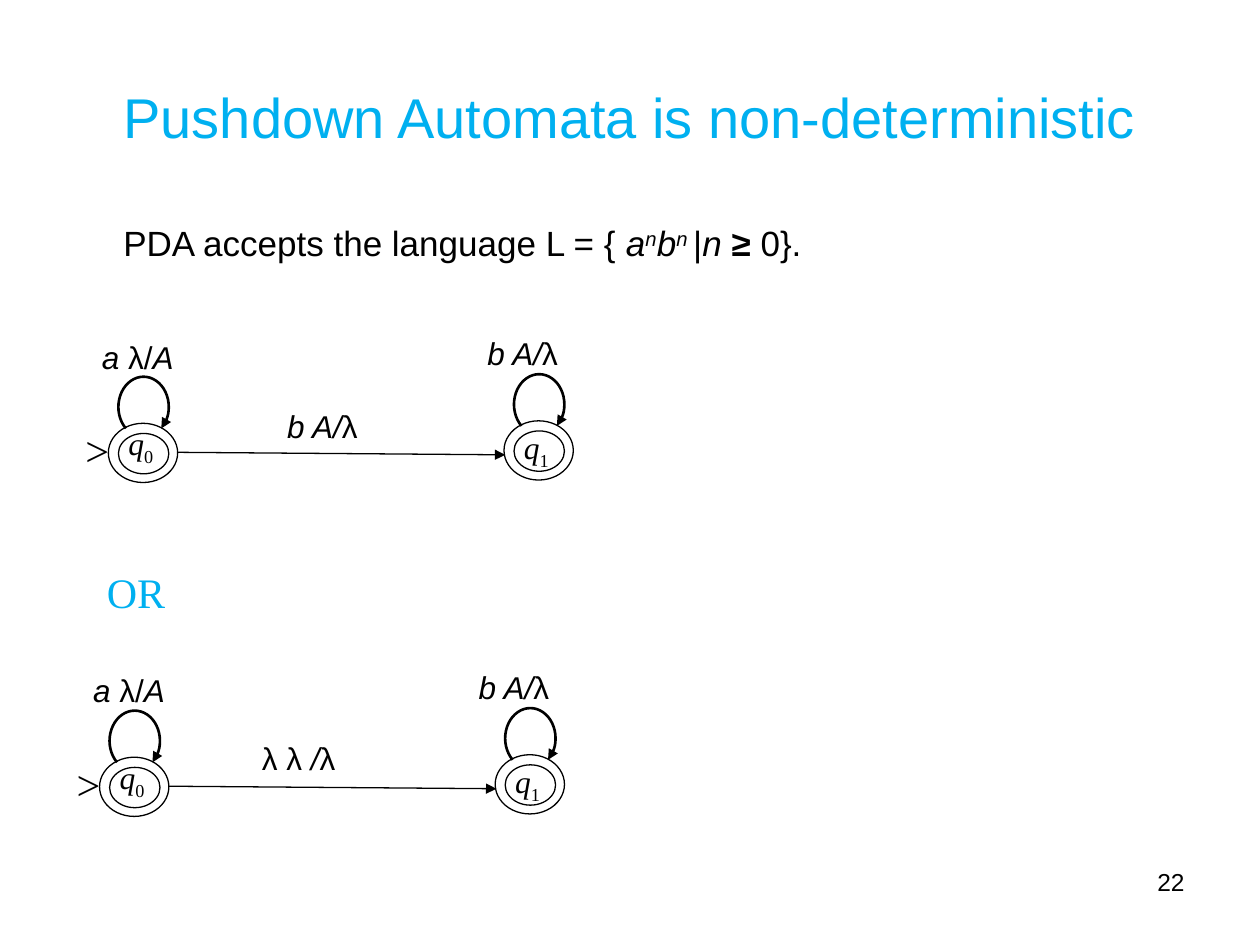
from lxml.etree import SubElement
from pptx import Presentation
from pptx.dml.color import RGBColor
from pptx.enum.shapes import MSO_CONNECTOR, MSO_SHAPE
from pptx.enum.text import MSO_ANCHOR, PP_ALIGN
from pptx.oxml.ns import qn
from pptx.util import Inches, Pt

THEME = {
    "black": RGBColor(0, 0, 0), "accent": RGBColor(0x00, 0xB0, 0xF0),
    "sans": "Arial", "serif": "Times New Roman",
    "title": 32, "body": 20, "label": 18, "symbol": 24, "number": 14,
    "thin": 0.75, "thick": 1.5,
}

# Content: each run is (text, style); i italic, b bold, ^ superscript, _ subscript
TITLE = [("Pushdown Automata is non-deterministic", "")]
LANGUAGE = [("PDA accepts the language L = { ", ""), ("a", "i"), ("n", "i^"), ("b", "i"),
            ("n ", "i^"), ("|", ""), ("n ", "i"), ("≥ ", "b"), ("0}.", "")]
ALTERNATIVE = [("OR", "")]
PAGE_NUMBER = [("22", "")]
START = [(">", "")]
PUSH = [("a ", "i"), ("λ/", ""), ("A", "i")]
POP = [("b A/", "i"), ("λ", "")]
SILENT = [("λ λ ", ""), ("/", "i"), ("λ", "")]

# States relative to a machine's origin: index, position, name and loop label offsets
STATES = [
    {"index": "0", "at": (0, 0), "name": (0.06, -0.04), "loop": PUSH, "label": (-0.15, -0.73)},
    {"index": "1", "at": (3.14, -0.02), "name": (0.06, 0.01), "loop": POP, "label": (-0.23, -0.74)},
]
# Machines: origin, label of the step between the states, offset of that label
MACHINES = [
    {"at": (0.86, 3.36), "step": POP, "label": (1.32, -0.18)},
    {"at": (0.79, 6.01), "step": SILENT, "label": (1.19, -0.19)},
]
STATE_SIZE = (0.55, 0.47)
INNER_SIZE = (0.4, 0.32)
LOOP_SIZE = (0.4, 0.48)
LOOP_ANGLES = (129.5, 50.5)
LABEL_SIZE = (1.4, 0.4)


def shifted(origin, offset):
    return origin[0] + offset[0], origin[1] + offset[1]


def add_text(shapes, at, size, runs, points, font="sans", color="black",
             align=PP_ALIGN.LEFT, anchor=MSO_ANCHOR.TOP, wrap=True):
    box = shapes.add_textbox(*map(Inches, at + size))
    frame = box.text_frame
    frame.word_wrap = wrap
    frame.vertical_anchor = anchor
    paragraph = frame.paragraphs[0]
    paragraph.alignment = align
    for text, style in runs:
        run = paragraph.add_run()
        run.text = text
        run.font.name = THEME[font]
        run.font.size = Pt(THEME[points])
        run.font.color.rgb = THEME[color]
        run.font.italic = "i" in style
        run.font.bold = "b" in style
        for mark, baseline in (("^", "30000"), ("_", "-25000")):
            if mark in style:
                run._r.get_or_add_rPr().set("baseline", baseline)


def set_line(shape, weight, arrow=False):
    shape.line.color.rgb = THEME["black"]
    shape.line.width = Pt(THEME[weight])
    if arrow:
        SubElement(shape.line._get_or_add_ln(), qn("a:tailEnd"), type="triangle")


def add_outline(shapes, kind, at, size, weight="thin", arrow=False):
    outline = shapes.add_shape(kind, *map(Inches, at + size))
    outline.shadow.inherit = False
    outline.fill.background()
    set_line(outline, weight, arrow)
    return outline


def add_state(shapes, at, state):
    # Accepting state: two rings around the name
    add_outline(shapes, MSO_SHAPE.OVAL, at, STATE_SIZE)
    add_outline(shapes, MSO_SHAPE.OVAL, shifted(at, (0.08, 0.08)), INNER_SIZE)
    add_text(shapes, shifted(at, state["name"]), (0.52, 0.44),
             [("q", "i"), (state["index"], "_")], "label", "serif")
    # Loop back to the same state
    loop = add_outline(shapes, MSO_SHAPE.ARC, shifted(at, (0.08, -0.37)), LOOP_SIZE, "thick", True)
    for place, degrees in enumerate(LOOP_ANGLES):
        loop.adjustments[place] = degrees * 0.6  # 60000ths of a degree over 100000
    add_text(shapes, shifted(at, state["label"]), LABEL_SIZE, state["loop"], "label")


def add_machine(slide, machine):
    shapes = slide.shapes.add_group_shape().shapes
    origin = machine["at"]
    for state in STATES:
        add_state(shapes, shifted(origin, state["at"]), state)
    add_text(shapes, shifted(origin, (-0.28, -0.04)), (0.39, 0.5), START, "symbol", "serif",
             wrap=False)
    # Step from the first state to the second
    ends = shifted(origin, (0.55, 0.23)) + shifted(origin, (3.15, 0.25))
    step = shapes.add_connector(MSO_CONNECTOR.STRAIGHT, *map(Inches, ends))
    set_line(step, "thin", True)
    SubElement(step._element.spPr, qn("a:effectLst"))
    add_text(shapes, shifted(origin, machine["label"]), LABEL_SIZE, machine["step"], "label")


def main():
    deck = Presentation()
    deck.slide_width, deck.slide_height = Inches(10), Inches(7.5)
    slide = deck.slides.add_slide(deck.slide_layouts[6])

    # Heading and language
    add_text(slide.shapes, (0.5, 0.3), (9, 1.25), TITLE, "title", color="accent",
             align=PP_ALIGN.CENTER, anchor=MSO_ANCHOR.MIDDLE)
    add_text(slide.shapes, (0.88, 1.71), (5.75, 0.44), LANGUAGE, "body", wrap=False)

    # The two alternative machines
    for machine in MACHINES:
        add_machine(slide, machine)
    add_text(slide.shapes, (0.75, 4.45), (0.66, 0.5), ALTERNATIVE, "symbol", "serif", "accent",
             wrap=False)

    # Page number
    add_text(slide.shapes, (7.17, 6.83), (2.33, 0.52), PAGE_NUMBER, "number",
             align=PP_ALIGN.RIGHT)
    deck.save("out.pptx")


if __name__ == "__main__":
    main()
